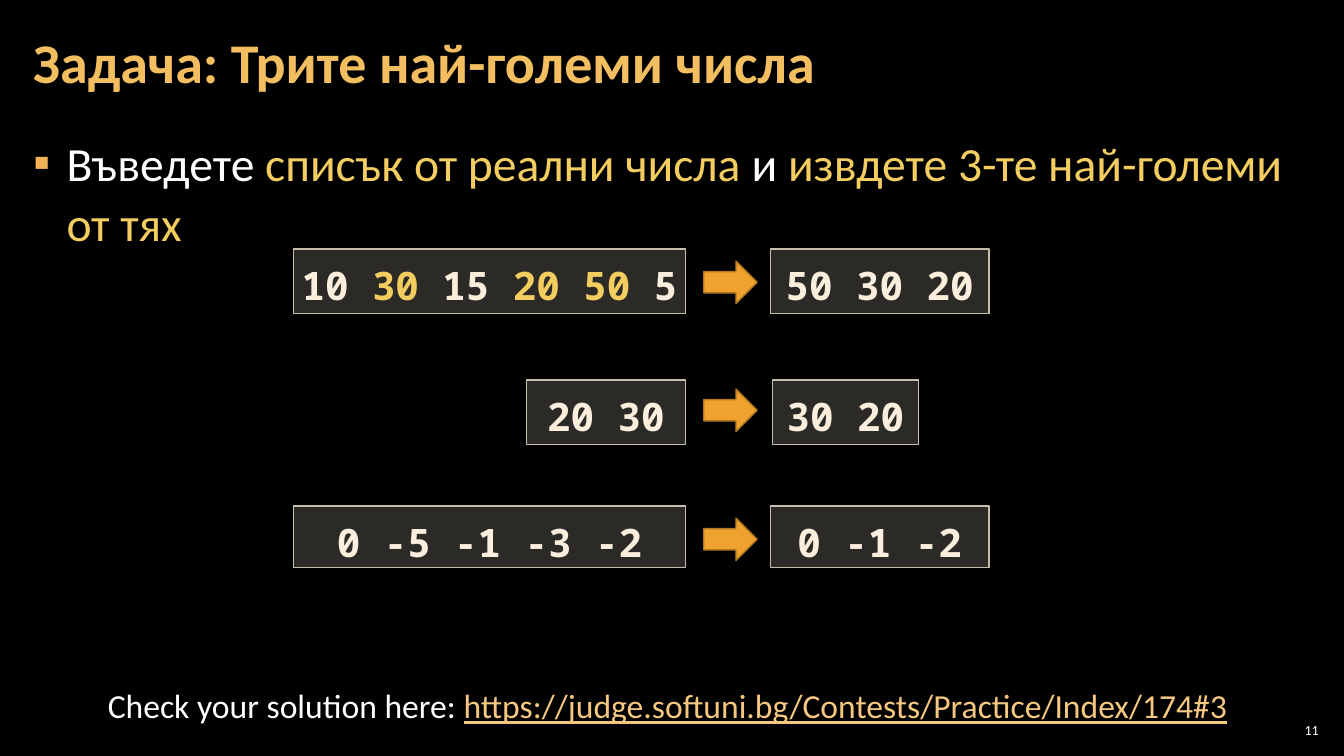
from lxml import etree
from pptx import Presentation
from pptx.dml.color import RGBColor
from pptx.enum.shapes import MSO_SHAPE as Shape
from pptx.enum.text import MSO_ANCHOR as Anchor, PP_ALIGN as Align
from pptx.oxml.ns import qn
from pptx.util import Inches, Pt

WHITE, CREAM, YELLOW = "FFFFFF", "FBEEDC", "F3CD60"
INPUT_RIGHT = 6.8
ARROW_LEFT, ARROW_WIDTH, ARROW_HEIGHT = 6.98, 0.53, 0.42


def rgb(value):
    return RGBColor.from_string(value)


def add_bullet(paragraph, char, color, indent):
    props = paragraph._p.get_or_add_pPr()
    props.set("marL", str(Inches(indent)))
    props.set("indent", str(-Inches(indent)))
    bullet_color = etree.SubElement(props, qn("a:buClr"))
    etree.SubElement(bullet_color, qn("a:srgbClr"), val=color)
    etree.SubElement(props, qn("a:buFont"), typeface="Calibri")
    etree.SubElement(props, qn("a:buChar"), char=char)


def write(frame, runs, size, font="Calibri", bold=False, align=Align.LEFT,
          anchor=Anchor.TOP, spacing=1.0, insets=(0.1, 0.05), bullet=None):
    """Fill a text frame with one paragraph of (text, colour, underlined) runs."""
    frame.word_wrap = True
    frame.vertical_anchor = anchor
    frame.margin_left = frame.margin_right = Inches(insets[0])
    frame.margin_top = frame.margin_bottom = Inches(insets[1])
    paragraph = frame.paragraphs[0]
    paragraph.alignment = align
    paragraph.line_spacing = spacing
    if bullet:
        add_bullet(paragraph, *bullet)
    for text, color, *underlined in runs:
        run = paragraph.add_run()
        run.text = text
        run.font.name = font
        run.font.size = Pt(size)
        run.font.bold = bold
        run.font.underline = bool(underlined)
        run.font.color.rgb = rgb(color)


def add_text(slide, box, runs, size, **style):
    label = slide.shapes.add_textbox(*map(Inches, box))
    write(label.text_frame, runs, size, **style)


def add_filled(slide, kind, box, fill, line, opacity=100):
    figure = slide.shapes.add_shape(kind, *map(Inches, box))
    figure.shadow.inherit = False
    figure.fill.solid()
    figure.fill.fore_color.rgb = rgb(fill)
    figure.line.color.rgb = rgb(line)
    figure.line.width = Pt(1)
    if opacity < 100:
        color = figure._element.spPr.find(qn("a:solidFill"))[0]
        etree.SubElement(color, qn("a:alpha"), val=str(opacity * 1000))
    return figure


def add_numbers(slide, box, runs):
    """Draw a number panel; its narrow side insets keep six numbers on one line."""
    panel = add_filled(slide, Shape.RECTANGLE, box, "D9D5C7", "C7BFAC", opacity=20)
    write(panel.text_frame, runs, 28, font="Noto Sans Mono", bold=True,
          align=Align.CENTER, spacing=1.15, insets=(0.04, 0.05))


def add_example(slide, top, height, arrow_top, given, given_width,
                result, result_left, result_width):
    """Draw one row: input numbers, an arrow and the three largest."""
    add_numbers(slide, (INPUT_RIGHT - given_width, top, given_width, height), given)
    add_filled(slide, Shape.RIGHT_ARROW,
               (ARROW_LEFT, arrow_top, ARROW_WIDTH, ARROW_HEIGHT), "F0A22E", "B27822")
    add_numbers(slide, (result_left, top, result_width, height), [(result, CREAM)])


def main():
    deck = Presentation()
    deck.slide_width, deck.slide_height = Inches(13.33), Inches(7.5)
    slide = deck.slides.add_slide(deck.slide_layouts[6])
    slide.background.fill.solid()
    slide.background.fill.fore_color.rgb = rgb("000000")

    add_text(slide, (0.21, 0.04, 10.47, 1.21),
             [("Задача: Трите най-големи числа", "F3BE60")], 40, bold=True,
             anchor=Anchor.MIDDLE, spacing=0.9, insets=(0.12, 0.04))
    add_text(slide, (0.21, 1.26, 12.91, 1.3),
             [("Въведете ", WHITE), ("списък от реални числа ", YELLOW),
              ("и ", WHITE), ("извдете 3-те най-големи от тях", YELLOW)],
             34, spacing=1.05, insets=(0.12, 0.04), bullet=("▪", "F2B254", 0.33))

    mixed = [("10 ", CREAM), ("30", YELLOW), (" 15 ", CREAM),
             ("20 50", YELLOW), (" 5", CREAM)]
    add_example(slide, 2.47, 0.64, 2.59, mixed, 3.89, "50 30 20", 7.64, 2.17)
    add_example(slide, 3.77, 0.64, 3.86, [("20 30", CREAM)], 1.58, "30 20", 7.66, 1.45)
    add_example(slide, 5.02, 0.61, 5.14, [("0 -5 -1 -3 -2", CREAM)], 3.89,
                "0 -1 -2", 7.64, 2.17)

    add_text(slide, (0.83, 6.75, 11.58, 0.5),
             [("Check your solution here: ", WHITE),
              ("https://judge.softuni.bg/Contests/Practice/Index/174#3", "F6C781", True)],
             24, align=Align.CENTER)
    add_text(slide, (12.65, 7.14, 0.47, 0.21), [("11", WHITE)], 10,
             align=Align.RIGHT, anchor=Anchor.MIDDLE, insets=(0.04, 0.04))
    deck.save("out.pptx")


if __name__ == "__main__":
    main()
